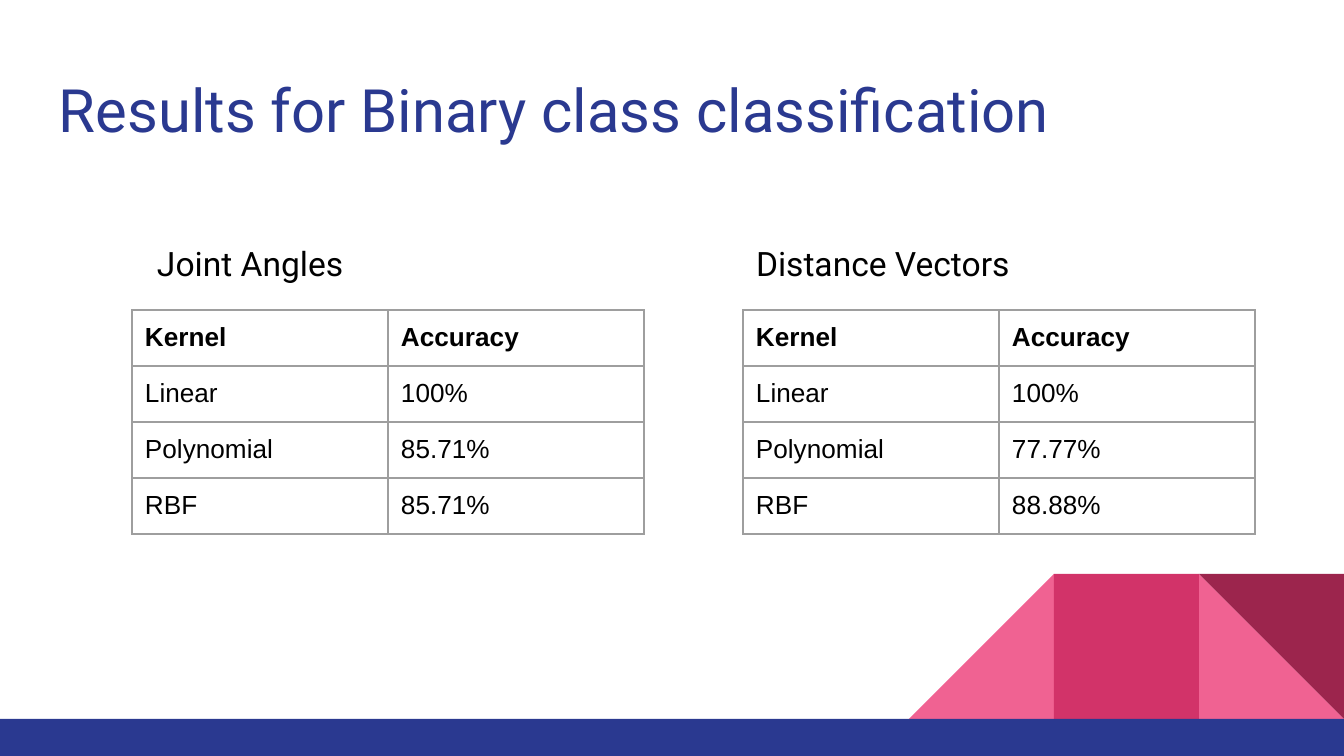
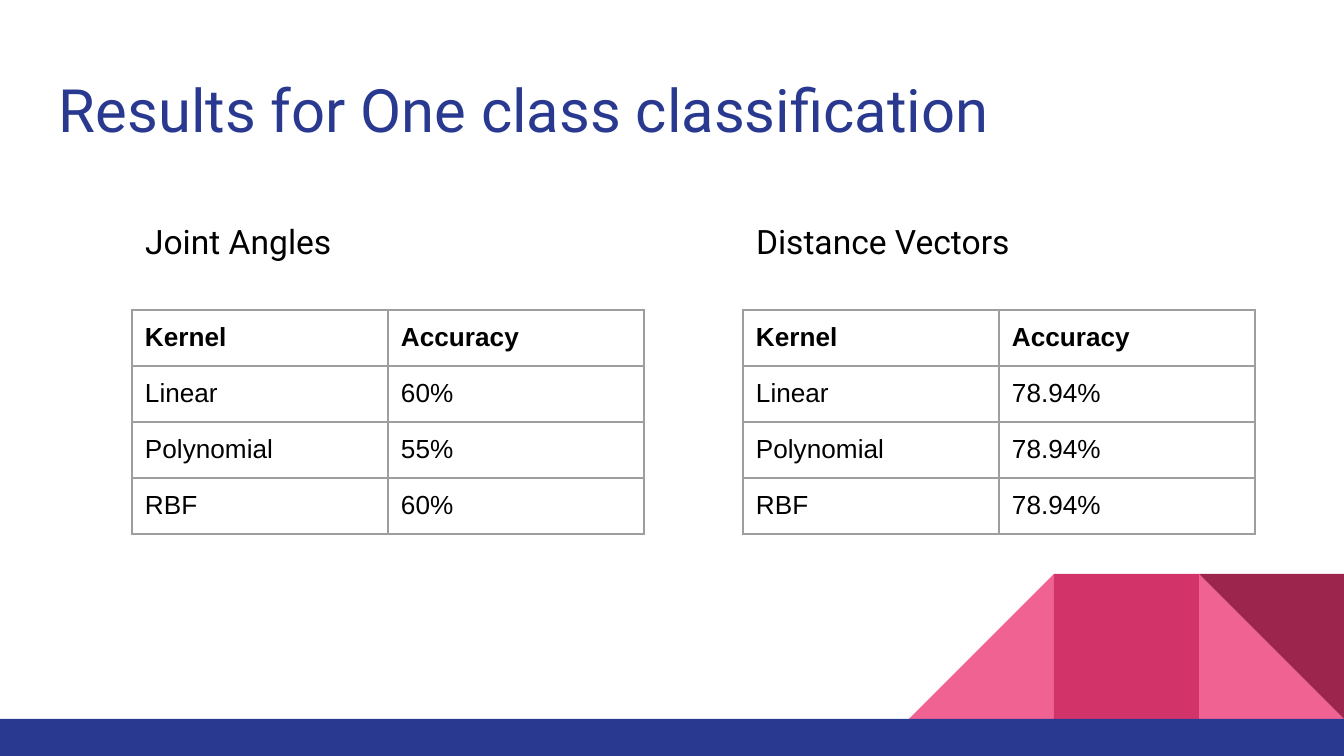
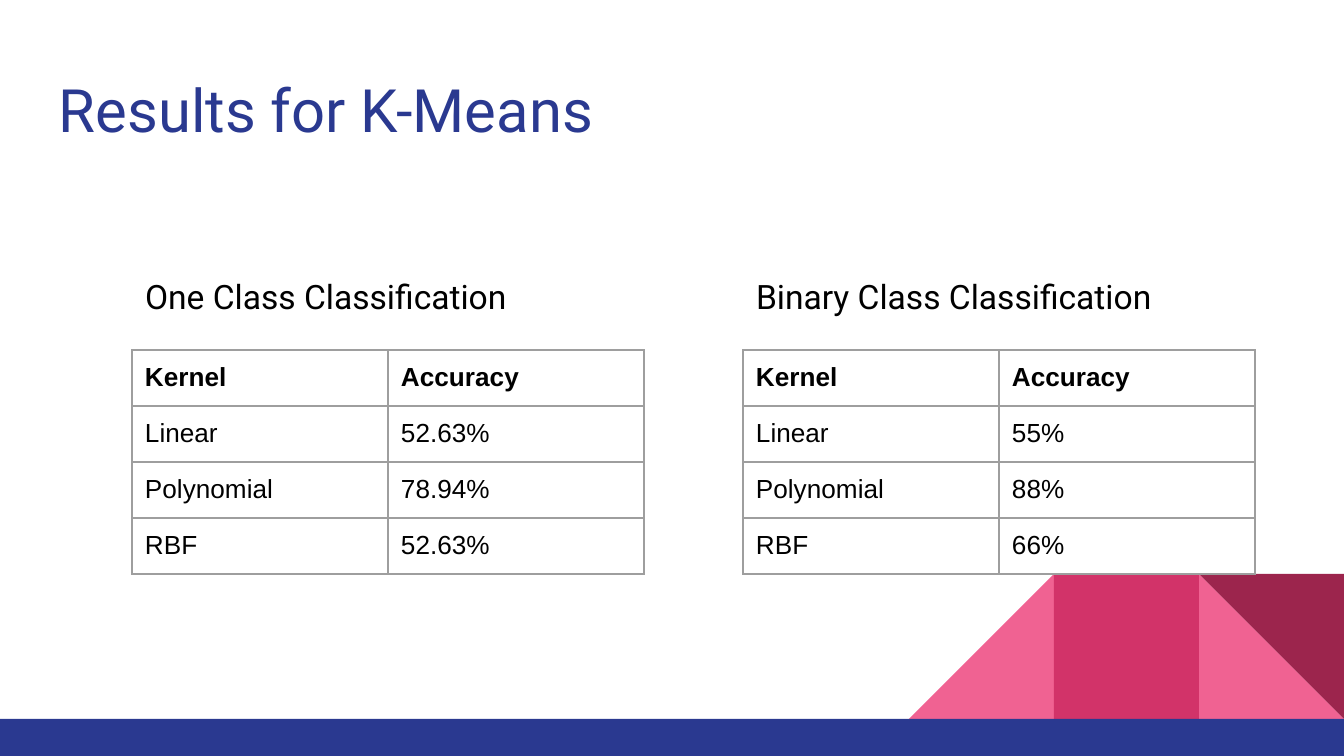
import pptx
import pptx.dml.color
import pptx.enum.shapes
import pptx.enum.text
import pptx.oxml.ns
import pptx.util
from lxml import etree

SCALE = 914400 / 134.4
SLIDE_W, SLIDE_H = 1344, 756
INSET = 13
FOLD, BAND_TOP = 145, 719
COL_W, ROW_H = 256, 56
LEFT, RIGHT = 132, 743
COLORS = {
    "navy": "2A3990",
    "pink": "F06292",
    "rose": "D23369",
    "wine": "9C254D",
    "black": "000000",
    "grid": "9E9E9E",
}
HEADING_FONT, TABLE_FONT = "Roboto", "Arial"
HEADERS = ("Kernel", "Accuracy")
KERNELS = ("Linear", "Polynomial", "RBF")

RESULTS = [
    {
        "title": "Results for Binary class classification",
        "table_top": 310,
        "panels": [
            ("Joint Angles", (144, 230, 288, 58), LEFT, ("100%", "85.71%", "85.71%")),
            ("Distance Vectors", (RIGHT, 230, 288, 67), RIGHT, ("100%", "77.77%", "88.88%")),
        ],
    },
    {
        "title": "Results for One class classification",
        "table_top": 310,
        "panels": [
            ("Joint Angles", (LEFT, 208, 288, 43), LEFT, ("60%", "55%", "60%")),
            ("Distance Vectors", (RIGHT, 208, 288, 60), RIGHT, ("78.94%", "78.94%", "78.94%")),
        ],
    },
    {
        "title": "Results for K-Means",
        "table_top": 350,
        "panels": [
            ("One Class Classification", (LEFT, 263, 511, 60), LEFT, ("52.63%", "78.94%", "52.63%")),
            ("Binary Class Classification", (RIGHT, 263, 511, 60), RIGHT, ("55%", "88%", "66%")),
        ],
    },
]


def px(n):
    return pptx.util.Emu(round(n * SCALE))


def rgb(name):
    return pptx.dml.color.RGBColor.from_string(COLORS[name])


def format_text(tf, size, font, color, bold=False):
    for p in tf.paragraphs:
        p.alignment = pptx.enum.text.PP_ALIGN.LEFT
        for r in p.runs:
            r.font.size = pptx.util.Pt(size)
            r.font.name = font
            r.font.bold = bold
            r.font.color.rgb = rgb(color)


def set_heading(sp, text, size, color):
    tf = sp.text_frame
    tf.text = text
    tf.word_wrap = True
    tf.auto_size = pptx.enum.text.MSO_AUTO_SIZE.NONE
    tf.vertical_anchor = pptx.enum.text.MSO_ANCHOR.TOP
    tf.margin_left = tf.margin_right = tf.margin_top = tf.margin_bottom = px(INSET)
    format_text(tf, size, HEADING_FONT, color)


def add_block(shapes, kind, box, color):
    sp = shapes.add_shape(kind, *map(px, box))
    sp.shadow.inherit = False
    sp.fill.solid()
    sp.fill.fore_color.rgb = rgb(color)
    sp.line.fill.background()
    return sp


def add_folds(slide, x, y, side):
    kinds = pptx.enum.shapes.MSO_SHAPE
    group = slide.shapes.add_group_shape()
    last = (x + 2 * side, y, side, side)
    add_block(group.shapes, kinds.RIGHT_TRIANGLE, last, "pink")
    sp = add_block(group.shapes, kinds.RIGHT_TRIANGLE, (x, y, side, side), "pink")
    sp.element.spPr.xfrm.set("flipH", "1")
    add_block(group.shapes, kinds.RECTANGLE, (x + side, y, side, side), "rose")
    sp = add_block(group.shapes, kinds.RIGHT_TRIANGLE, last, "wine")
    sp.rotation = 180
    return group


def decorate_layout(layout, slide):
    folds = add_folds(slide, SLIDE_W - 3 * FOLD, BAND_TOP - FOLD, FOLD)
    band = add_block(
        slide.shapes,
        pptx.enum.shapes.MSO_SHAPE.RECTANGLE,
        (0, BAND_TOP, SLIDE_W, SLIDE_H - BAND_TOP),
        "navy",
    )
    for sp in (folds, band):
        layout.shapes.element.append(sp.element)


def set_borders(cell):
    tcPr = cell._tc.get_or_add_tcPr()
    for side in ("a:lnL", "a:lnR", "a:lnT", "a:lnB"):
        ln = etree.SubElement(tcPr, pptx.oxml.ns.qn(side), w=str(pptx.util.Pt(0.75)))
        fill = etree.SubElement(ln, pptx.oxml.ns.qn("a:solidFill"))
        etree.SubElement(fill, pptx.oxml.ns.qn("a:srgbClr"), val=COLORS["grid"])


def add_accuracy_table(slide, x, y, accuracies):
    rows = [HEADERS, *zip(KERNELS, accuracies)]
    frame = slide.shapes.add_table(
        len(rows), len(HEADERS), px(x), px(y), px(COL_W * len(HEADERS)), px(ROW_H * len(rows))
    )
    table = frame.table
    table.first_row = table.horz_banding = False
    for i, row in enumerate(rows):
        for j, value in enumerate(row):
            cell = table.cell(i, j)
            set_borders(cell)
            cell.fill.background()
            cell.margin_left = cell.margin_right = px(INSET)
            cell.margin_top = cell.margin_bottom = px(INSET)
            cell.text_frame.text = value
            format_text(cell.text_frame, 14, TABLE_FONT, "black", bold=i == 0)


def add_caption(slide, box, text):
    sp = slide.shapes.add_textbox(*map(px, box))
    set_heading(sp, text, 18, "black")


def fill_results(slide, result):
    title = slide.shapes.title
    title.left, title.top, title.width, title.height = map(px, (46, 60, 1253, 89))
    set_heading(title, result["title"], 32, "navy")
    for caption, box, x, accuracies in result["panels"]:
        add_accuracy_table(slide, x, result["table_top"], accuracies)
        add_caption(slide, box, caption)


def main():
    prs = pptx.Presentation()
    prs.slide_width, prs.slide_height = px(SLIDE_W), px(SLIDE_H)
    layout = prs.slide_layouts.get_by_name("Title Only")
    for sp in list(layout.placeholders)[1:]:
        sp.element.getparent().remove(sp.element)
    for i, result in enumerate(RESULTS):
        slide = prs.slides.add_slide(layout)
        if i == 0:
            decorate_layout(layout, slide)
        fill_results(slide, result)
    prs.save("out.pptx")


if __name__ == "__main__":
    main()
